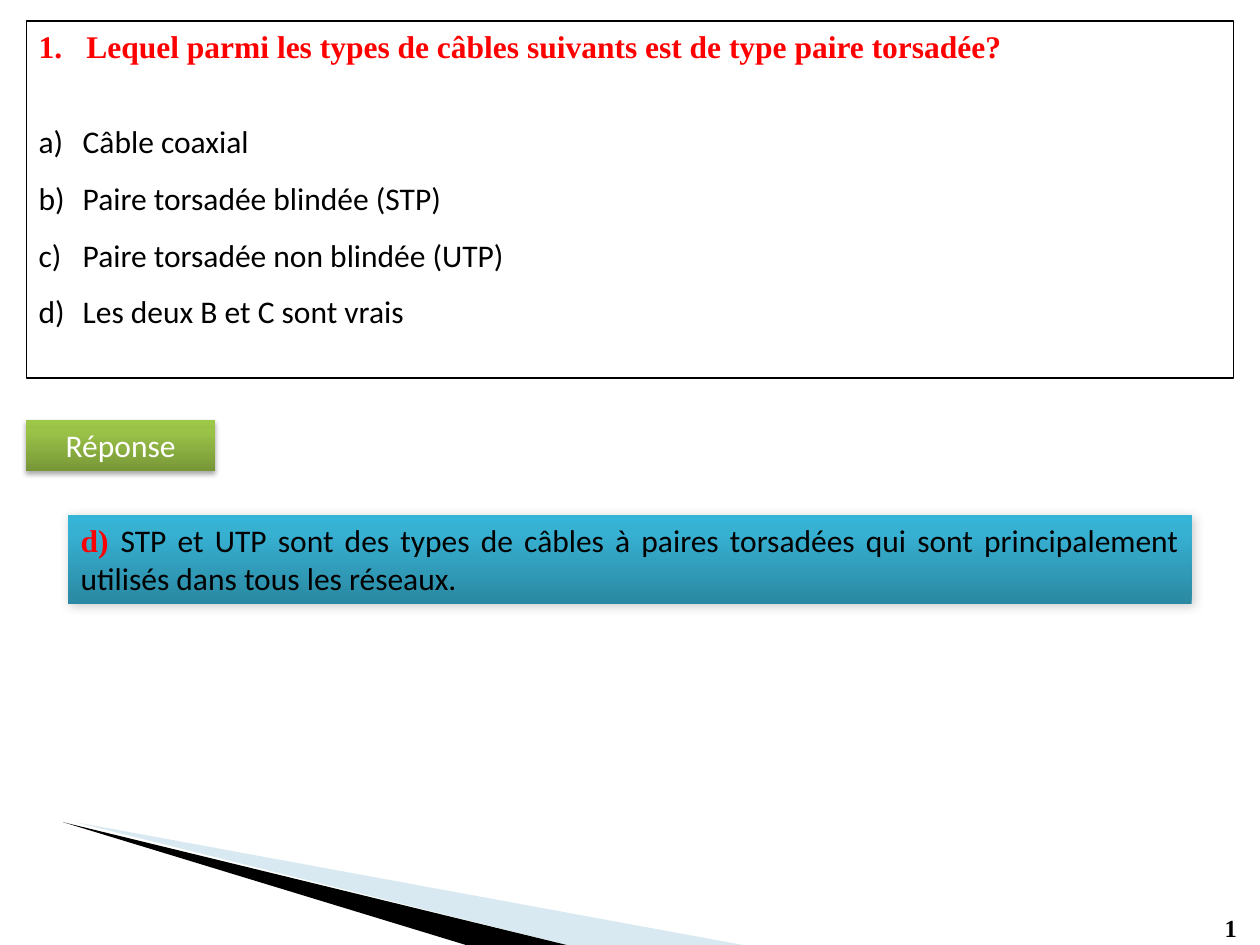
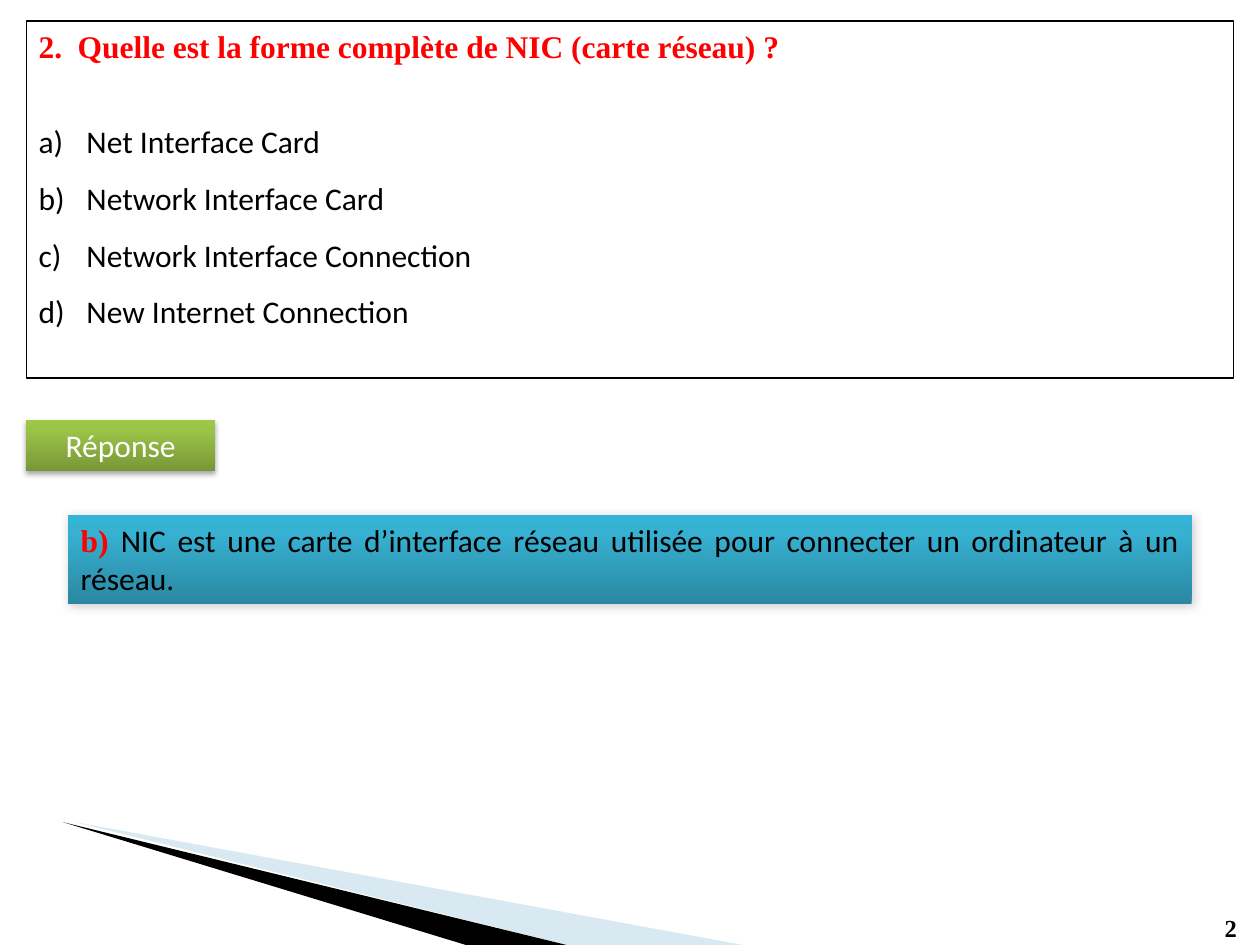
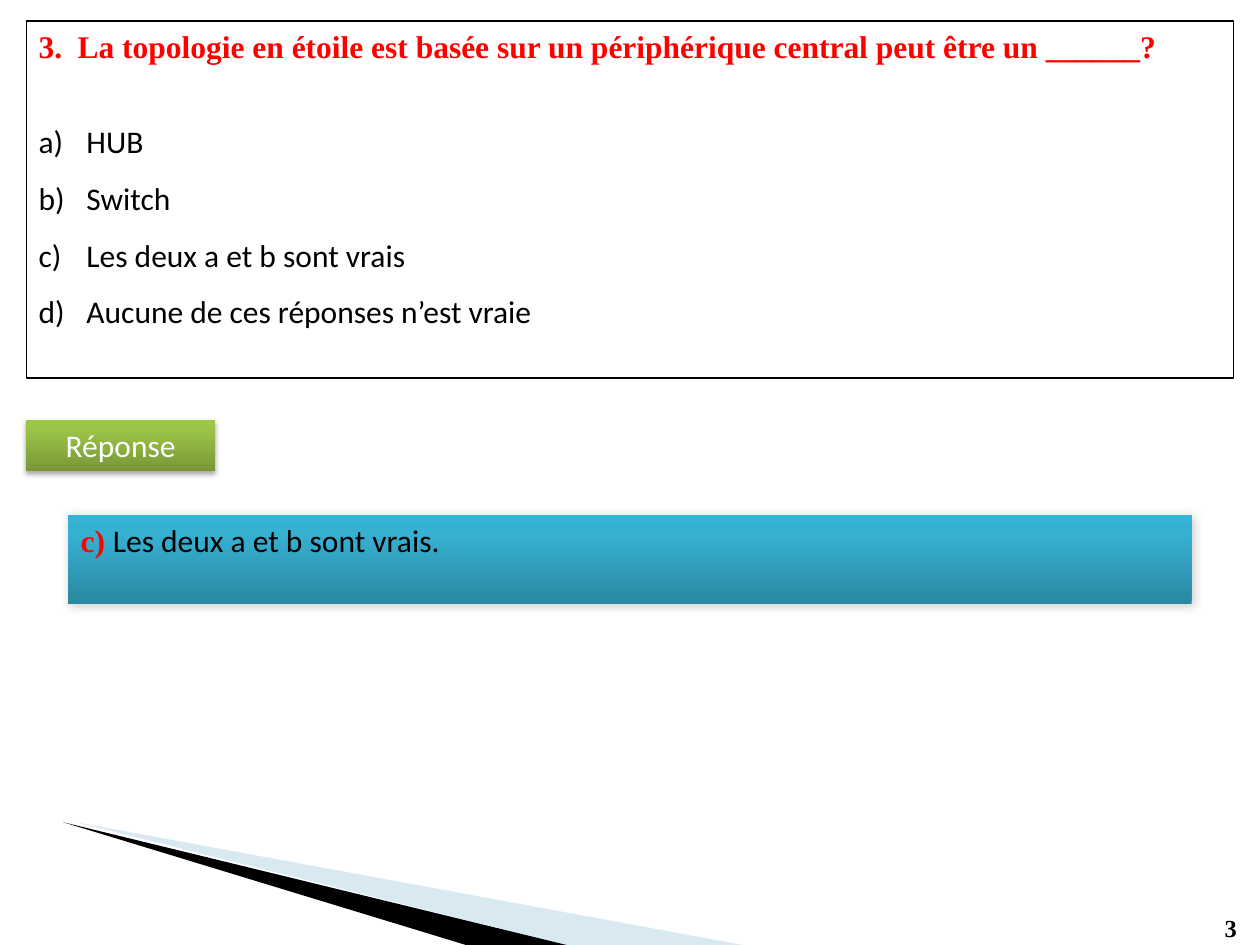
import dataclasses

import pptx
import pptx.dml.color
import pptx.enum.shapes
import pptx.enum.text
import pptx.oxml
import pptx.oxml.ns
import pptx.util

ALIGN = pptx.enum.text.PP_ALIGN
GRID_COLUMNS, GRID_ROWS = 240, 180


@dataclasses.dataclass(frozen=True)
class Theme:
    heading_font: str = "Times New Roman"
    body_font: str = "Calibri"
    body_size: int = 18
    number_size: int = 14
    black: str = "000000"
    white: str = "FFFFFF"
    accent: str = "FF0000"
    pale_blue: str = "9FCADC"
    green: tuple = ((0, "779737"), (80, "9BC348"), (100, "9DC746"))
    blue: tuple = ((0, "2A88A2"), (80, "37B1D2"), (100, "34B4D6"))


THEME = Theme()


@dataclasses.dataclass(frozen=True)
class Question:
    title: str
    title_indent: float
    options: tuple
    option_indent: float
    answer_letter: str
    answer: str


QUESTIONS = (
    Question(
        "Lequel parmi les types de câbles suivants est de type paire torsadée?", 0.38,
        ("Câble coaxial", "Paire torsadée blindée (STP)",
         "Paire torsadée non blindée (UTP)", "Les deux B et C sont vrais"), 0.35,
        "d) ", "STP et UTP sont des types de câbles à paires torsadées qui sont "
        "principalement utilisés dans tous les réseaux."),
    Question(
        "Quelle est la forme complète de NIC (carte réseau) ?", 0.31,
        ("Net Interface Card", "Network Interface Card",
         "Network Interface Connection", "New Internet Connection"), 0.38,
        "b) ", "NIC est une carte d’interface réseau utilisée pour connecter "
        "un ordinateur à un réseau."),
    Question(
        "La topologie en étoile est basée sur un périphérique central peut être un ______?", 0.31,
        ("HUB", "Switch", "Les deux a et b sont vrais",
         "Aucune de ces réponses n’est vraie"), 0.38,
        "c) ", "Les deux a et b sont vrais."),
)


def rgb(color):
    return pptx.dml.color.RGBColor.from_string(color)


def drawing_xml(tag, attributes="", content=""):
    namespace = pptx.oxml.ns.nsdecls("a")
    return pptx.oxml.parse_xml(f"<a:{tag} {namespace} {attributes}>{content}</a:{tag}>")


def cell(presentation, column, row, columns, rows):
    unit_x = presentation.slide_width / GRID_COLUMNS
    unit_y = presentation.slide_height / GRID_ROWS
    return [round(length) for length in
            (column * unit_x, row * unit_y, columns * unit_x, rows * unit_y)]


def add_text(paragraph, text, font=THEME.body_font, size=THEME.body_size,
             color=THEME.black, bold=False, align=ALIGN.LEFT):
    paragraph.alignment = align
    run = paragraph.add_run()
    run.text = text
    run.font.name = font
    run.font.size = pptx.util.Pt(size)
    run.font.bold = bold
    run.font.color.rgb = rgb(color)


def number_paragraph(paragraph, style, indent, start=1):
    properties = paragraph._p.get_or_add_pPr()
    properties.set("marL", str(pptx.util.Inches(indent)))
    properties.set("indent", str(-pptx.util.Inches(indent)))
    properties.append(drawing_xml("buFont", 'typeface="+mj-lt"'))
    properties.append(drawing_xml("buAutoNum", f'type="{style}" startAt="{start}"'))


def add_box(slide, position):
    shape = slide.shapes.add_shape(pptx.enum.shapes.MSO_SHAPE.RECTANGLE, *position)
    shape.shadow.inherit = False
    shape.fill.background()
    shape.line.fill.background()
    shape.text_frame.word_wrap = True
    shape.text_frame.vertical_anchor = pptx.enum.text.MSO_ANCHOR.TOP
    return shape


def fill_gradient(shape, stops):
    stop_list = "".join(f'<a:gs pos="{share * 1000}"><a:srgbClr val="{color}"/></a:gs>'
                        for share, color in stops)
    gradient = drawing_xml("gradFill", 'rotWithShape="1"',
                           f'<a:gsLst>{stop_list}</a:gsLst><a:lin ang="16200000" scaled="0"/>')
    properties = shape._element.spPr
    properties.replace(properties.find(pptx.oxml.ns.qn("a:noFill")), gradient)


def cast_shadow(shape, opacity, blur, distance, angle):
    effects = shape._element.spPr.find(pptx.oxml.ns.qn("a:effectLst"))
    effects.append(drawing_xml(
        "outerShdw",
        f'blurRad="{pptx.util.Pt(blur)}" dist="{pptx.util.Pt(distance)}" '
        f'dir="{angle * 60000}" rotWithShape="0"',
        f'<a:srgbClr val="{THEME.black}"><a:alpha val="{opacity * 1000}"/></a:srgbClr>'))


def add_wedge(presentation, slide, contours, color, opacity=100):
    scale = (presentation.slide_width / 100, presentation.slide_height / 100)
    first, *others = contours
    builder = slide.shapes.build_freeform(*first[0], scale=scale)
    builder.add_line_segments(first[1:], close=True)
    for contour in others:
        builder.move_to(*contour[0])
        builder.add_line_segments(contour[1:], close=True)
    shape = builder.convert_to_shape()
    shape.shadow.inherit = False
    shape.line.fill.background()
    shape.fill.solid()
    shape.fill.fore_color.rgb = rgb(color)
    if opacity < 100:
        color_element = shape._element.spPr.find(".//" + pptx.oxml.ns.qn("a:srgbClr"))
        color_element.append(drawing_xml("alpha", f'val="{opacity * 1000}"'))


def add_decoration(presentation, slide):
    add_wedge(presentation, slide,
              [[(6.4, 87.07), (45.1, 100), (58.9, 100)],
               [(5.5, 86.67), (5.5, 86.8), (6.4, 87.07)]],
              THEME.pale_blue, opacity=40)
    add_wedge(presentation, slide,
              [[(5.3, 86.67), (5.4, 86.67), (36.7, 100), (45.3, 100)]], THEME.black)


def add_page_number(presentation, slide, number):
    text_box = slide.shapes.add_textbox(*cell(presentation, 230.9, 172.8, 8.6, 8.2))
    text_box.text_frame.word_wrap = True
    add_text(text_box.text_frame.paragraphs[0], str(number), font=THEME.heading_font,
             size=THEME.number_size, bold=True)


def add_question(presentation, slide, number, question):
    shape = add_box(slide, cell(presentation, 5, 4, 230, 68))
    shape.line.color.rgb = rgb(THEME.black)
    shape.line.width = pptx.util.Pt(0.75)
    title = shape.text_frame.paragraphs[0]
    title.space_after = pptx.util.Pt(22)
    add_text(title, question.title, font=THEME.heading_font, color=THEME.accent, bold=True)
    number_paragraph(title, "arabicPeriod", question.title_indent, start=number)
    for option in question.options:
        paragraph = shape.text_frame.add_paragraph()
        paragraph.line_spacing = 1.5
        add_text(paragraph, option)
        number_paragraph(paragraph, "alphaLcParenR", question.option_indent)


def add_answer_label(presentation, slide):
    shape = add_box(slide, cell(presentation, 5, 80, 36, 9.7))
    fill_gradient(shape, THEME.green)
    cast_shadow(shape, opacity=35, blur=3.1, distance=1.8, angle=90)
    add_text(shape.text_frame.paragraphs[0], "Réponse", color=THEME.white, align=ALIGN.CENTER)


def add_answer(presentation, slide, question):
    shape = add_box(slide, cell(presentation, 13, 98, 214, 17))
    fill_gradient(shape, THEME.blue)
    cast_shadow(shape, opacity=20, blur=6, distance=1, angle=45)
    paragraph = shape.text_frame.paragraphs[0]
    add_text(paragraph, question.answer_letter, font=THEME.heading_font,
             color=THEME.accent, bold=True, align=ALIGN.JUSTIFY)
    add_text(paragraph, question.answer, align=ALIGN.JUSTIFY)


def main():
    presentation = pptx.Presentation()
    presentation.slide_width = pptx.util.Inches(10)
    presentation.slide_height = pptx.util.Inches(7.5)
    for number, question in enumerate(QUESTIONS, start=1):
        slide = presentation.slides.add_slide(presentation.slide_layouts[6])
        add_decoration(presentation, slide)
        add_page_number(presentation, slide, number)
        add_question(presentation, slide, number, question)
        add_answer_label(presentation, slide)
        add_answer(presentation, slide, question)
    presentation.save("out.pptx")


if __name__ == "__main__":
    main()
